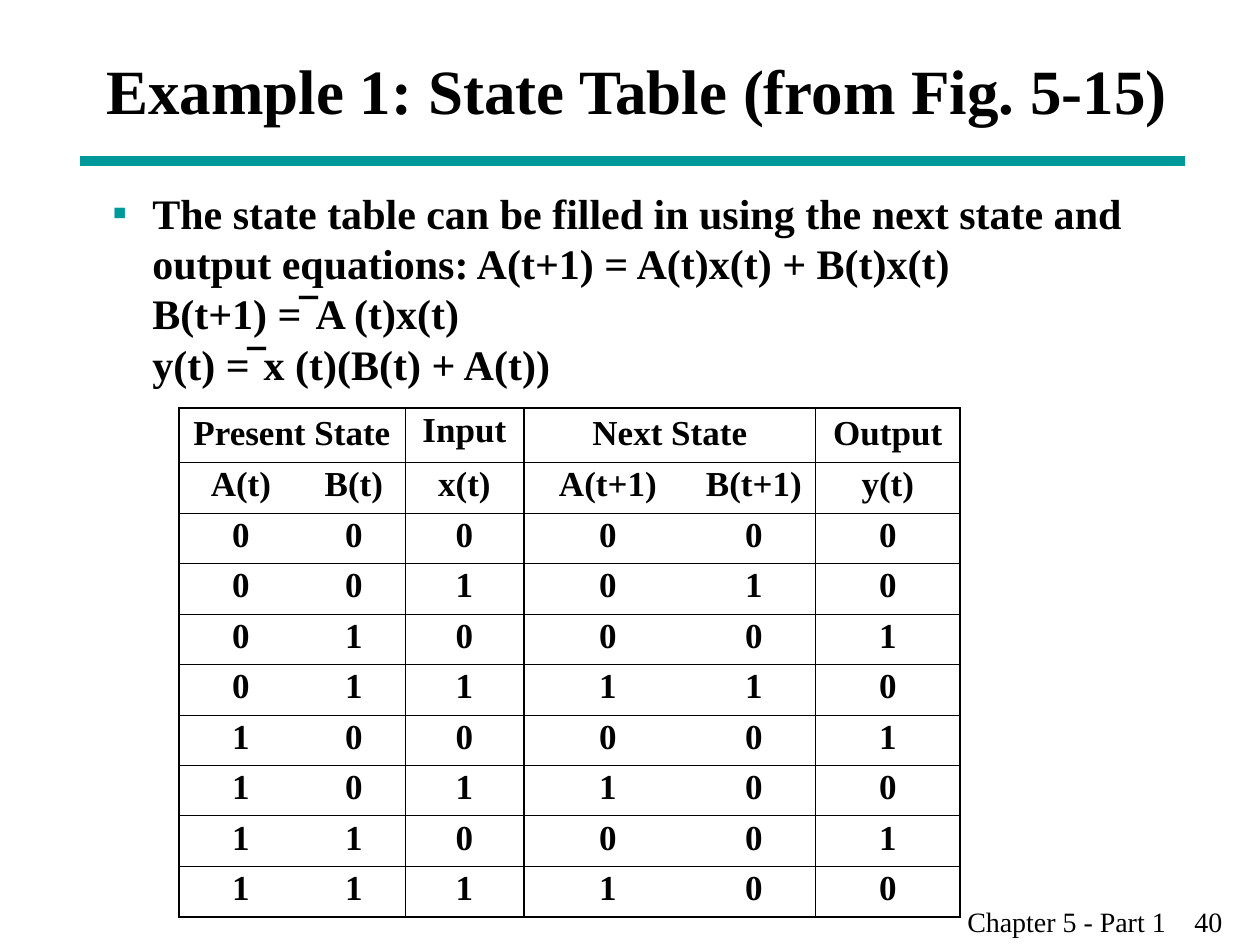
from dataclasses import dataclass

from lxml.etree import SubElement
from pptx import Presentation
from pptx.dml.color import RGBColor
from pptx.enum.shapes import MSO_CONNECTOR
from pptx.enum.text import MSO_ANCHOR, PP_ALIGN
from pptx.oxml.ns import qn
from pptx.util import Pt

PX = 914400 // 126
SERIF, SANS = "Times New Roman", "Arial"
BLACK, TEAL = "000000", "009999"
THIN, THICK = 0.45, 1.08
OVERLINE = "\u203e"


@dataclass
class Box:
    """A rectangle in pixels."""
    left: int
    top: int
    width: int
    height: int

    def emu(self) -> list[int]:
        """Return the rectangle in EMU."""
        return [v * PX for v in (self.left, self.top, self.width, self.height)]


@dataclass
class Column:
    """A table column; group columns share one header cell."""
    width: int
    label: str
    bits: str
    left: float
    right: float


TITLE = Box(94, 31, 1118, 116)
BODY = Box(100, 181, 1071, 693)
FOOTER = Box(955, 898, 305, 47)
TABLE = Box(179, 408, 781, 509)
HEADER_HEIGHT, ROW_HEIGHT = 54, 50
HEADERS = {0: ("Present State", 2), 2: ("Input", 1),
           3: ("Next State", 2), 5: ("Output", 1)}
COLUMNS = [
    Column(124, "A(t)", "00001111", THICK, 0),
    Column(102, "B(t)", "00110011", 0, THIN),
    Column(119, "x(t)", "01010101", THIN, THICK),
    Column(168, "A(t+1)", "00010101", THICK, 0),
    Column(124, "B(t+1)", "01010000", 0, THIN),
    Column(144, "y(t)", "00101010", THIN, THICK),
]


def rgb(value: str) -> RGBColor:
    """Turn a hex string into a colour."""
    return RGBColor.from_string(value)


def add_run(p, text: str, size: int, bold: bool = True, font: str = SERIF) -> None:
    """Append one formatted run."""
    r = p.add_run()
    r.text = text
    r.font.name, r.font.size, r.font.bold = font, Pt(size), bold
    r.font.color.rgb = rgb(BLACK)


def add_box(s, box: Box, anchor=MSO_ANCHOR.TOP):
    """Add a wrapping text box and return its first paragraph."""
    tf = s.shapes.add_textbox(*box.emu()).text_frame
    tf.word_wrap = True
    tf.vertical_anchor = anchor
    return tf.paragraphs[0]


def add_rule(s) -> None:
    """Draw the line under the title."""
    line = s.shapes.add_connector(MSO_CONNECTOR.STRAIGHT,
                                  80 * PX, 161 * PX, 1185 * PX, 161 * PX)
    line.line.color.rgb = rgb(TEAL)
    line.line.width = Pt(6)
    SubElement(line._element.spPr, qn("a:effectLst"))


def add_body(s) -> None:
    """Write the bulleted equations."""
    p = add_box(s, BODY)
    p.space_before = Pt(6)
    pPr = p._p.get_or_add_pPr()
    pPr.set("marL", str(40 * PX))
    pPr.set("indent", str(-40 * PX))
    color = SubElement(pPr, qn("a:buClr"))
    SubElement(color, qn("a:srgbClr"), val=TEAL)
    SubElement(pPr, qn("a:buFont"), typeface=SANS)
    SubElement(pPr, qn("a:buChar"), char="\u25aa")
    add_run(p, "The state table can be filled in using the next state and "
               "output equations: A(t+1) = A(t)x(t) + B(t)x(t)", 24)
    for left, right in (("B(t+1) =", "A (t)x(t)"),
                        ("y(t) =", "x (t)(B(t) + A(t))")):
        p.add_line_break()
        add_run(p, left, 24)
        add_run(p, OVERLINE, 24, font=SANS)
        add_run(p, right, 24)


def set_borders(cell, left: float, right: float, top: float, bottom: float) -> None:
    """Set the four cell borders in points; zero means none."""
    tcPr = cell._tc.get_or_add_tcPr()
    sides = (("lnL", left), ("lnR", right), ("lnT", top), ("lnB", bottom))
    for i, (tag, width) in enumerate(sides):
        ln = tcPr.makeelement(qn(f"a:{tag}"), {"w": str(int(Pt(width)))})
        tcPr.insert(i, ln)
        if width:
            fill = SubElement(ln, qn("a:solidFill"))
            SubElement(fill, qn("a:srgbClr"), val=BLACK)
        else:
            SubElement(ln, qn("a:noFill"))


def write_cell(cell, text: str, raised: bool = True) -> None:
    """Write centred text, tight to the top or with space before it."""
    p = cell.text_frame.paragraphs[0]
    p.alignment = PP_ALIGN.CENTER
    if raised:
        p.line_spacing = 0.9
    else:
        p.space_before = Pt(5)
    add_run(p, text, 20)


def add_state_table(s) -> None:
    """Build the state table."""
    rows = 2 + len(COLUMNS[0].bits)
    table = s.shapes.add_table(rows, len(COLUMNS), *TABLE.emu()).table
    table.first_row = table.horz_banding = False
    for i, row in enumerate(table.rows):
        row.height = (ROW_HEIGHT if i else HEADER_HEIGHT) * PX
    for c, column in enumerate(COLUMNS):
        table.columns[c].width = column.width * PX
        for i in range(rows):
            cell = table.cell(i, c)
            cell.fill.background()
            set_borders(cell, column.left, column.right,
                        THIN if i else THICK, THICK if i == rows - 1 else THIN)
        for i, text in enumerate([column.label, *column.bits], 1):
            write_cell(table.cell(i, c), text)
    for c, (text, span) in HEADERS.items():
        if span > 1:
            table.cell(0, c).merge(table.cell(0, c + span - 1))
        write_cell(table.cell(0, c), text, raised=text == "Input")


def add_footer(s) -> None:
    """Write the chapter name and page number."""
    p = add_box(s, FOOTER)
    tabs = SubElement(p._p.get_or_add_pPr(), qn("a:tabLst"))
    SubElement(tabs, qn("a:tab"), pos=str(227 * PX), algn="l")
    add_run(p, "Chapter 5 - Part 1\t40", 16, bold=False)


def main() -> None:
    """Build and save the slide."""
    prs = Presentation()
    prs.slide_width, prs.slide_height = 1260 * PX, 945 * PX
    s = prs.slides.add_slide(prs.slide_layouts[6])
    add_rule(s)
    add_footer(s)
    add_run(add_box(s, TITLE, MSO_ANCHOR.MIDDLE),
            "Example 1: State Table (from Fig. 5-15)", 36)
    add_body(s)
    add_state_table(s)
    prs.save("out.pptx")


main()
